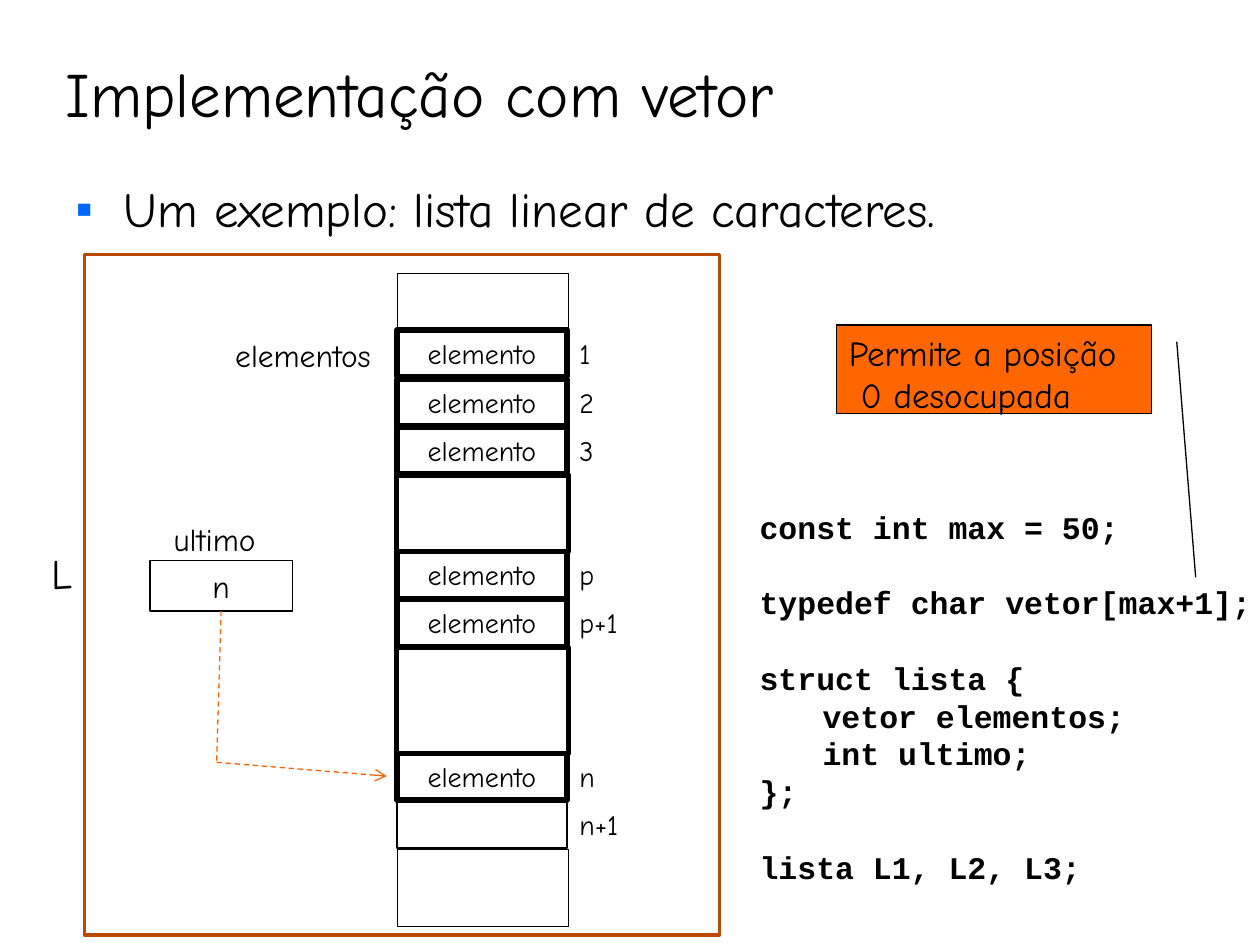
"""Builds a slide on implementing a linear list with an array."""
from dataclasses import dataclass

from lxml.etree import SubElement
from pptx import Presentation
from pptx.dml.color import RGBColor
from pptx.enum.dml import MSO_LINE
from pptx.enum.shapes import MSO_CONNECTOR, MSO_SHAPE
from pptx.enum.text import MSO_ANCHOR, PP_ALIGN
from pptx.oxml.ns import qn
from pptx.util import Inches, Pt


@dataclass(frozen=True)
class Theme:
    ink: RGBColor = RGBColor(0x00, 0x00, 0x00)
    bullet: str = "0066FF"
    note: RGBColor = RGBColor(0xFF, 0x66, 0x00)
    frame: RGBColor = RGBColor(0xBC, 0x49, 0x00)
    pointer: RGBColor = RGBColor(0xFF, 0x62, 0x00)
    font: str = "Comic Neue"
    mono: str = "Courier New"
    title: int = 36
    body: int = 28
    name: int = 24
    callout: int = 20
    label: int = 18
    cell: int = 16
    code_line: float = 21.6


theme = Theme()


def write(holder, lines, size, align=PP_ALIGN.LEFT, font=theme.font, bold=False):
    frame = holder.text_frame
    frame.word_wrap = True
    for number, line in enumerate(lines):
        paragraph = frame.paragraphs[0] if number == 0 else frame.add_paragraph()
        paragraph.alignment = align
        run = paragraph.add_run()
        run.text = line
        run.font.name = font
        run.font.size = Pt(size)
        run.font.bold = bold
        run.font.color.rgb = theme.ink
    return frame


def add_box(box, weight, text="", size=theme.cell, color=theme.ink):
    rectangle = slide.shapes.add_shape(MSO_SHAPE.RECTANGLE, *map(Inches, box))
    rectangle.shadow.inherit = False
    rectangle.fill.background()
    rectangle.line.color.rgb = color
    rectangle.line.width = Pt(weight)
    if text:
        frame = write(rectangle, [text], size, PP_ALIGN.CENTER)
        frame.vertical_anchor = MSO_ANCHOR.TOP
    return rectangle


presentation = Presentation()
presentation.slide_width = Inches(10)
presentation.slide_height = Inches(7.5)
slide = presentation.slides.add_slide(presentation.slide_layouts[1])

title = slide.shapes.title
title.left, title.top, title.width, title.height = map(Inches, (0.42, 0.25, 9.08, 0.83))
write(title, ["Implementação com vetor"], theme.title).vertical_anchor = MSO_ANCHOR.BOTTOM

example = slide.placeholders[1]
example.left, example.top, example.width, example.height = map(Inches, (0.5, 1.37, 9.17, 0.71))
topic = write(example, ["Um exemplo: lista linear de caracteres."], theme.body).paragraphs[0]
topic.space_before = Pt(0)
topic_format = topic._p.get_or_add_pPr()
topic_format.set("marL", str(Inches(0.38)))
topic_format.set("indent", str(-Inches(0.38)))
bullet_color = SubElement(topic_format, qn("a:buClr"))
SubElement(bullet_color, qn("a:srgbClr")).set("val", theme.bullet)
SubElement(topic_format, qn("a:buChar")).set("char", "▪")

code = slide.shapes.add_textbox(*map(Inches, (5.93, 3.98, 4.19, 3.1)))
code_blocks = [
    ["const int max = 50;"],
    ["typedef char vetor[max+1];"],
    ["struct lista {", "\tvetor elementos;", "\tint ultimo;", "};"],
    ["lista L1, L2, L3;"],
]
code_lines = [line for block in code_blocks for line in block]
code_frame = write(code, code_lines, theme.label, font=theme.mono, bold=True)
block_starts = [block[0] for block in code_blocks[1:]]
for statement in code_frame.paragraphs:
    statement.line_spacing = Pt(theme.code_line)
    statement.space_before = Pt(theme.code_line if statement.text in block_starts else 0)

callout = slide.shapes.add_shape(MSO_SHAPE.LINE_CALLOUT_1, *map(Inches, (6.64, 2.58, 2.5, 0.7)))
callout.shadow.inherit = False
callout._element.spPr.xfrm.set("flipH", "1")
for position, ratio in enumerate((0.19, -0.08, 2.86, -0.14)):
    callout.adjustments[position] = ratio
callout.fill.solid()
callout.fill.fore_color.rgb = theme.note
callout.line.color.rgb = theme.ink
callout.line.width = Pt(0.75)
callout_frame = write(callout, ["Permite a posição", " 0 desocupada"], theme.callout)
callout_frame.vertical_anchor = MSO_ANCHOR.TOP
callout_frame.word_wrap = False

column, cell_width, cell_height = 3.15, 1.35, 0.37
positions = [
    (2.62, "1"), (3.01, "2"), (3.39, "3"), (4.38, "p"),
    (4.76, "p+1"), (5.98, "n"), (6.36, "n+1"),
]
for top, index in positions:
    used = index != "n+1"
    add_box((column, top, cell_width, cell_height), 3 if used else 0.75, "elemento" if used else "")
    index_label = slide.shapes.add_textbox(*map(Inches, (column + cell_width, top, 0.75, cell_height)))
    write(index_label, [index], theme.cell)

for top, height, weight in [(3.77, 0.61, 3), (5.14, 0.84, 3), (6.74, 0.61, 0.25), (2.17, 0.46, 0.25)]:
    add_box((column, top, 1.36, height), weight)

labels = [
    ("elementos", (1.61, 2.62, 1.43, 0.4), theme.label, PP_ALIGN.RIGHT),
    ("ultimo", (1.28, 4.08, 0.98, 0.4), theme.label, PP_ALIGN.LEFT),
    ("L", (0, 4.3, 0.98, 0.5), theme.name, PP_ALIGN.CENTER),
]
for text, box, size, align in labels:
    write(slide.shapes.add_textbox(*map(Inches, box)), [text], size, align)

last_index = add_box((1.19, 4.45, 1.13, 0.4), 0.75, "n", theme.label)
add_box((0.67, 2.02, 5.04, 5.4), 2, color=theme.frame)

pointer_route = [(1.76, 4.85), (1.72, 6.05), (3.07, 6.16)]
pointer = []
for start, end in zip(pointer_route, pointer_route[1:]):
    segment = slide.shapes.add_connector(MSO_CONNECTOR.STRAIGHT, *map(Inches, start + end))
    segment.line.color.rgb = theme.pointer
    segment.line.width = Pt(0.75)
    segment.line.dash_style = MSO_LINE.DASH
    SubElement(segment._element.spPr, qn("a:effectLst"))
    pointer.append(segment)
pointer[0].begin_connect(last_index, 2)
SubElement(pointer[-1].line._get_or_add_ln(), qn("a:tailEnd")).set("type", "arrow")

presentation.save("out.pptx")
